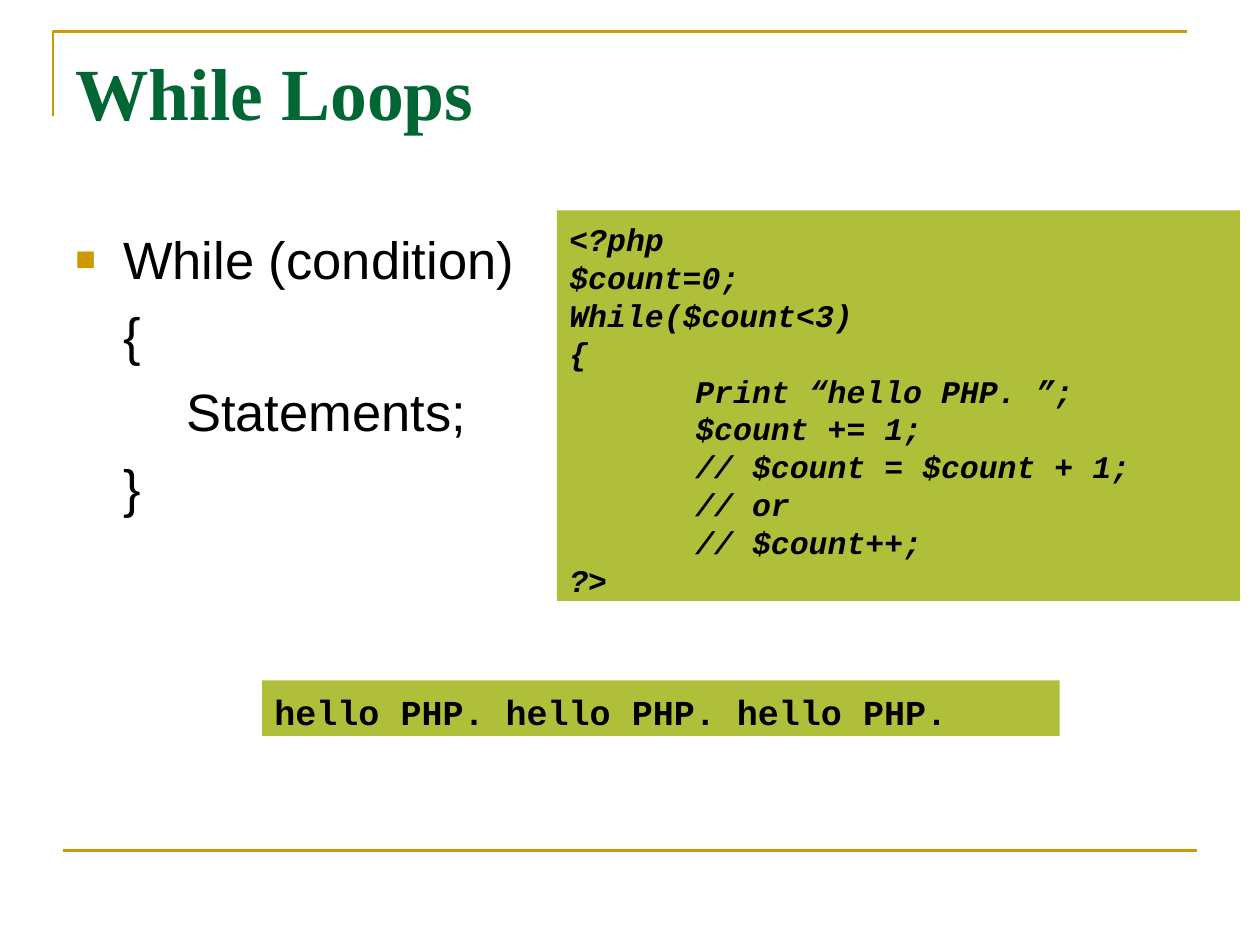
from lxml import etree
from pptx import Presentation
from pptx.dml.color import RGBColor
from pptx.enum.shapes import MSO_CONNECTOR, MSO_SHAPE
from pptx.enum.text import MSO_ANCHOR, PP_ALIGN
from pptx.oxml.ns import qn
from pptx.util import Inches, Pt

RECTANGLE = MSO_SHAPE.RECTANGLE
STRAIGHT = MSO_CONNECTOR.STRAIGHT
TOP = MSO_ANCHOR.TOP
LEFT = PP_ALIGN.LEFT

COLORS = {"rule": "CC9900", "title": "006633", "text": "000000", "panel": "AFBF39"}
LINE_RATIO = 1.2
TAB_COUNT = 8

SYNTAX = ["While (condition)", "\t{", "\t\tStatements;", "\t}"]
CODE = [
    "<?php",
    "$count=0;",
    "While($count<3)",
    "{",
    "\tPrint “hello PHP. ”;",
    "\t$count += 1;",
    "\t// $count = $count + 1;",
    "\t// or",
    "\t// $count++;",
    "?>",
]
OUTPUT = ["hello PHP. hello PHP. hello PHP."]


def rgb(name):
    """Return the named palette colour."""
    return RGBColor.from_string(COLORS[name])


def add_tabs(paragraph):
    """Set left tab stops one inch apart."""
    tabs = etree.SubElement(paragraph._p.get_or_add_pPr(), qn("a:tabLst"))
    for inch in range(TAB_COUNT):
        etree.SubElement(tabs, qn("a:tab"), pos=str(Inches(inch)), algn="l")


def add_bullet(paragraph):
    """Give a paragraph a small square bullet."""
    properties = paragraph._p.get_or_add_pPr()
    color = etree.SubElement(properties, qn("a:buClr"))
    etree.SubElement(color, qn("a:srgbClr"), val=COLORS["rule"])
    etree.SubElement(properties, qn("a:buSzPct"), val="65000")
    etree.SubElement(properties, qn("a:buFont"), typeface="Arial")
    etree.SubElement(properties, qn("a:buChar"), char="■")


def write_lines(shape, lines, font, size, color="text", bold=False, italic=False,
                drop=0.0, space=0.0, hanging=0.0, bulleted=False):
    """Write one paragraph per line, lowered by drop inches."""
    frame = shape.text_frame
    frame.word_wrap = True
    frame.vertical_anchor = TOP
    frame.margin_left = frame.margin_right = Inches(0.1)
    frame.margin_top = Inches(0.05 + drop)
    frame.margin_bottom = 0
    for index, line in enumerate(lines):
        paragraph = frame.add_paragraph() if index else frame.paragraphs[0]
        paragraph.alignment = LEFT
        paragraph.line_spacing = Pt(size * LINE_RATIO)
        paragraph.space_before = Pt(space)
        if hanging:
            properties = paragraph._p.get_or_add_pPr()
            properties.set("marL", str(Inches(hanging)))
            properties.set("indent", str(-Inches(hanging)))
        if bulleted and index == 0:
            add_bullet(paragraph)
        add_tabs(paragraph)
        run = paragraph.add_run()
        run.text = line
        run.font.name = font
        run.font.size = Pt(size)
        run.font.bold = bold
        run.font.italic = italic
        run.font.color.rgb = rgb(color)


def add_frame(slide, left, top, width, height):
    """Draw the corner rule above the title and the rule at the foot."""
    corner_height = Inches(0.67)
    builder = slide.shapes.build_freeform(left, top + corner_height)
    builder.add_line_segments([(left, top), (left + width, top)], close=False)
    corner = builder.convert_to_shape()
    corner.fill.background()
    corner.shadow.inherit = False
    foot_left = left + Inches(0.08)
    foot = slide.shapes.add_connector(
        STRAIGHT, foot_left, top + height, foot_left + width, top + height)
    etree.SubElement(foot._element.spPr, qn("a:effectLst"))
    for rule in (corner, foot):
        rule.line.color.rgb = rgb("rule")
        rule.line.width = Pt(1.5)


def add_title(slide, left, top, width, height):
    """Place the slide title."""
    title = slide.shapes.add_textbox(left, top, width, height)
    write_lines(title, ["While Loops"], "Times New Roman", 42, "title", bold=True, drop=0.02)


def add_syntax(slide, left, top, width, height):
    """Place the general form of the loop."""
    syntax = slide.shapes.add_textbox(left, top, width, height)
    write_lines(syntax, SYNTAX, "Arial", 30, space=7.5, hanging=0.38, bulleted=True)


def add_panel(slide, left, top, width, height, lines, size, italic=False):
    """Place monospaced lines on a green panel."""
    panel = slide.shapes.add_shape(RECTANGLE, left, top, width, height)
    panel.shadow.inherit = False
    panel.fill.solid()
    panel.fill.fore_color.rgb = rgb("panel")
    panel.line.fill.background()
    write_lines(panel, lines, "Courier New", size, bold=True, italic=italic, drop=0.03)


def main():
    """Build and save the slide."""
    deck = Presentation()
    deck.slide_width, deck.slide_height = Inches(10), Inches(7.5)
    slide = deck.slides.add_slide(deck.slide_layouts[6])
    add_frame(slide, Inches(0.42), Inches(0.25), Inches(9), Inches(6.5))
    add_title(slide, Inches(0.5), Inches(0.3), Inches(9), Inches(1.25))
    add_syntax(slide, Inches(0.5), Inches(1.75), Inches(9), Inches(4.95))
    add_panel(slide, Inches(4.42), Inches(1.67), Inches(5.42), Inches(3.1), CODE, 18, italic=True)
    add_panel(slide, Inches(2.08), Inches(5.4), Inches(6.33), Inches(0.44), OUTPUT, 20)
    deck.save("out.pptx")


if __name__ == "__main__":
    main()
